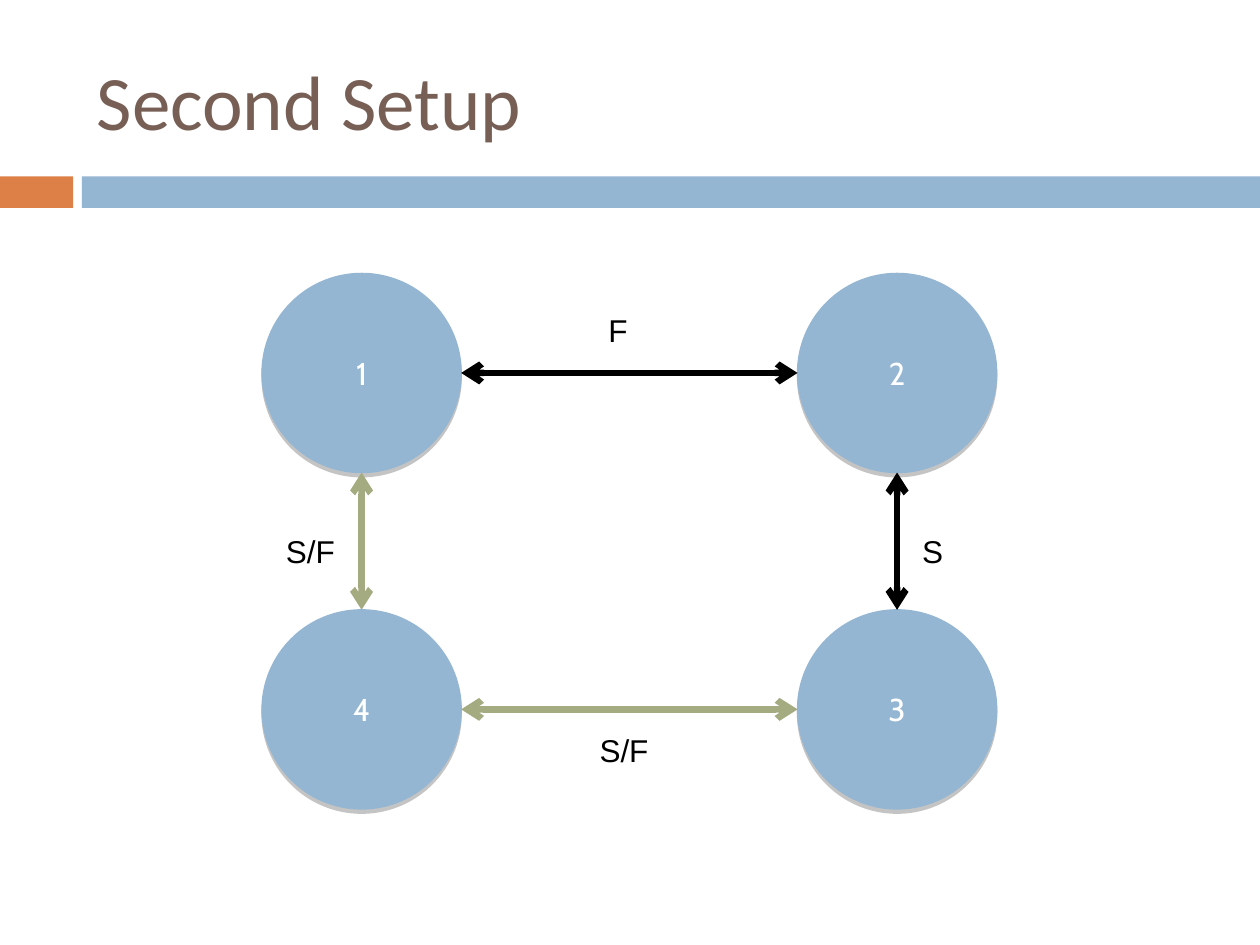
from lxml.etree import SubElement
from pptx import Presentation
from pptx.dml.color import RGBColor
from pptx.enum.shapes import MSO_CONNECTOR as Link, MSO_SHAPE as Kind
from pptx.enum.text import MSO_ANCHOR as Anchor, PP_ALIGN as Align
from pptx.oxml.ns import qn
from pptx.util import Inches, Pt

BLUE, ORANGE, GREEN = "94B6D2", "DD8047", "A5AB81"
BROWN, BLACK, WHITE, GRAY = "775F55", "000000", "FFFFFF", "808080"


def color(code):
    """Turn a hex string into a colour."""
    return RGBColor.from_string(code)


def write(shape, text, font="Arial", size=18, ink=BLACK,
          align=Align.LEFT, anchor=Anchor.TOP, wrap=True):
    """Put formatted text into a shape."""
    frame = shape.text_frame
    frame.word_wrap = wrap
    frame.vertical_anchor = anchor
    para = frame.paragraphs[0]
    para.text = text
    para.alignment = align
    para.font.name = font
    para.font.size = Pt(size)
    para.font.color.rgb = color(ink)


def shade(shape):
    """Give a shape a hard shadow straight below it."""
    effects = shape._element.spPr.find(qn("a:effectLst"))
    outer = SubElement(effects, qn("a:outerShdw"), blurRad="0",
                       dist=str(Pt(2.4)), dir="5400000", rotWithShape="0")
    tint = SubElement(outer, qn("a:srgbClr"), val=GRAY)
    SubElement(tint, qn("a:alpha"), val="45000")


def block(slide, kind, left, top, width, height, fill):
    """Add a flat filled shape."""
    shape = slide.shapes.add_shape(kind, left, top, width, height)
    shape.shadow.inherit = False
    shape.fill.solid()
    shape.fill.fore_color.rgb = color(fill)
    shape.line.fill.background()
    return shape


def node(slide, left, top, size, text):
    """Add a numbered circle."""
    disc = block(slide, Kind.OVAL, left, top, size, size, BLUE)
    disc.line.color.rgb = color(BLUE)
    disc.line.width = Pt(0.79)
    shade(disc)
    write(disc, text, font="Cabin", ink=WHITE,
          align=Align.CENTER, anchor=Anchor.MIDDLE)


def arrow(slide, start, end, ink):
    """Add a line with an arrowhead at each end."""
    link = slide.shapes.add_connector(Link.STRAIGHT, *start, *end)
    link.line.color.rgb = color(ink)
    link.line.width = Pt(3.75)
    stroke = link.line._get_or_add_ln()
    for tip in ("a:headEnd", "a:tailEnd"):
        SubElement(stroke, qn(tip), type="arrow")
    SubElement(link._element.spPr, qn("a:effectLst"))


def label(slide, left, top, width, text):
    """Add the label of an arrow."""
    box = slide.shapes.add_textbox(left, top, width, Inches(0.4))
    write(box, text, wrap=False)


def header(slide, left, top, width, height, text):
    """Add the title and the two-part band under it."""
    band, thick = top + Inches(1.4), Inches(0.25)
    lead, gap = Inches(0.58), Inches(0.07)
    block(slide, Kind.RECTANGLE, left, band, lead, thick, ORANGE)
    block(slide, Kind.RECTANGLE, left + lead + gap, band,
          width - lead - gap, thick, BLUE)
    title = slide.shapes.add_textbox(left + Inches(0.67), top + Inches(0.25),
                                     Inches(8.92), Inches(1.08))
    write(title, text, font="Calibri", size=44, ink=BROWN,
          anchor=Anchor.MIDDLE)


def ring(slide, left, top, width, height):
    """Add four circles, the arrows between them and their labels."""
    size = Inches(1.58)
    half = size // 2
    right, low = left + width - size, top + height - size
    spots = [(left, top), (right, top), (right, low), (left, low)]
    for num, (x, y) in enumerate(spots, 1):
        node(slide, x, y, size, str(num))

    for y, ink in ((top + half, BLACK), (low + half, GREEN)):
        arrow(slide, (left + size, y), (right, y), ink)
    for x, ink in ((right + half, BLACK), (left + half, GREEN)):
        arrow(slide, (x, top + size), (x, low), ink)

    tags = [("F", 2.65, 0.25, 0.35), ("S", 5.14, 2, 0.36),
            ("S/F", 2.58, 3.58, 0.59), ("S/F", 0.09, 2, 0.59)]
    for text, x, y, wide in tags:
        label(slide, left + Inches(x), top + Inches(y), Inches(wide), text)


def main():
    """Build and save the slide."""
    deck = Presentation()
    deck.slide_width, deck.slide_height = Inches(10), Inches(7.5)
    slide = deck.slides.add_slide(deck.slide_layouts[6])
    header(slide, 0, 0, deck.slide_width, Inches(1.65), "Second Setup")
    ring(slide, Inches(2.08), Inches(2.17), Inches(5.83), Inches(4.25))
    deck.save("out.pptx")


if __name__ == "__main__":
    main()
